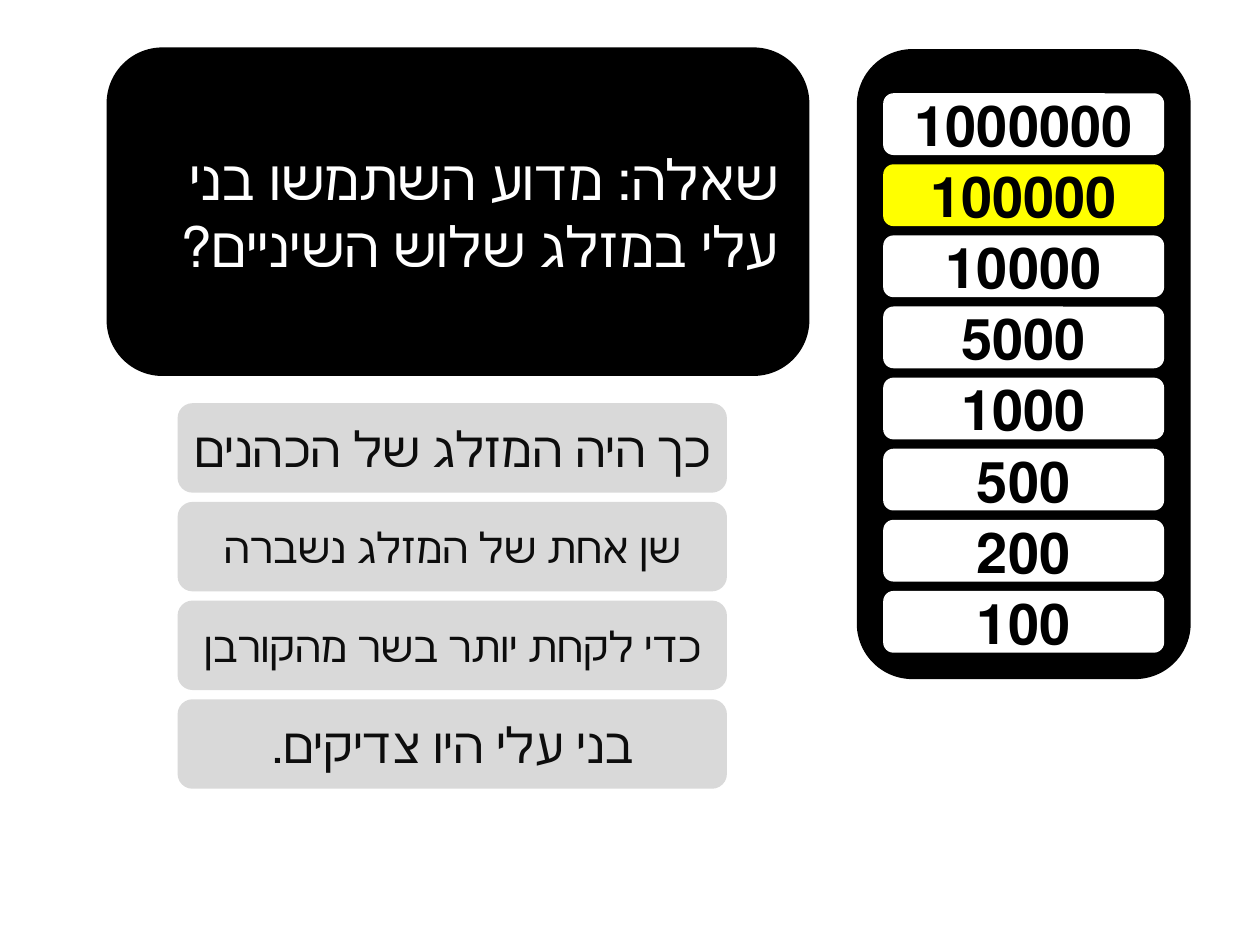
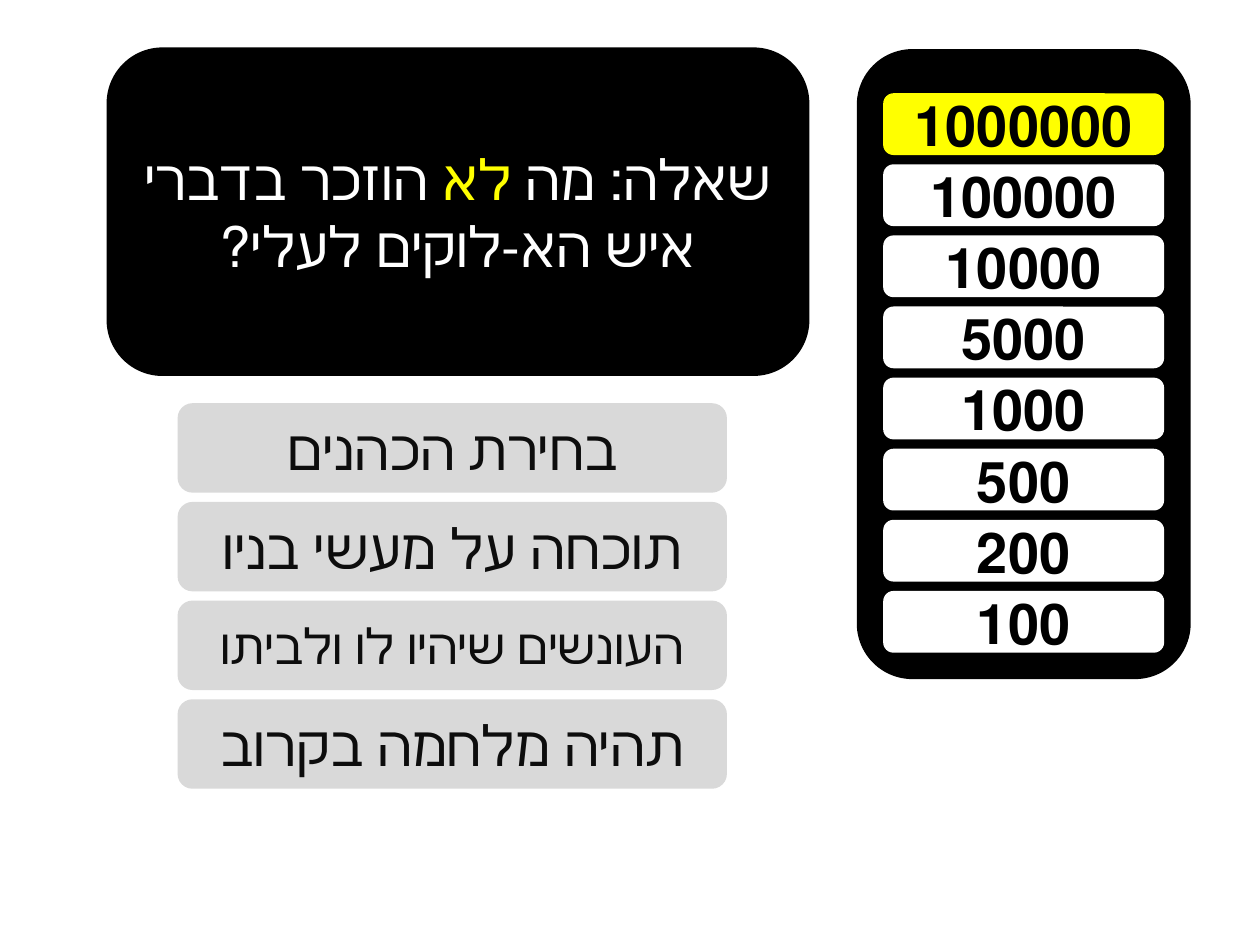
from pptx import Presentation
from pptx import util as u
from pptx.dml.color import RGBColor
from pptx.enum import shapes, text

BLACK = RGBColor(0x00, 0x00, 0x00)
WHITE = RGBColor(0xFF, 0xFF, 0xFF)
YELLOW = RGBColor(0xFF, 0xFF, 0x00)
GREY = RGBColor(0xD9, 0xD9, 0xD9)
INK = RGBColor(0x0D, 0x0D, 0x0D)
FACE = "Calibri"

PRIZES = ["1000000", "100000", "10000", "5000", "1000", "500", "200", "100"]

QUIZ = [
    {
        "prize": "100000",
        "align": text.PP_ALIGN.RIGHT,
        "ask": [("שאלה: מדוע השתמשו בני עלי במזלג שלוש השיניים?", WHITE)],
        "answers": [
            ("כך היה המזלג של הכהנים", 28),
            ("שן אחת של המזלג נשברה", 24),
            ("כדי לקחת יותר בשר מהקורבן", 24),
            ("בני עלי היו צדיקים.", 28),
        ],
    },
    {
        "prize": "1000000",
        "align": text.PP_ALIGN.CENTER,
        "ask": [
            ("שאלה: מה ", WHITE),
            ("לא ", YELLOW),
            ("הוזכר בדברי איש הא-לוקים לעלי?", WHITE),
        ],
        "answers": [
            ("בחירת הכהנים", 32),
            ("תוכחה על מעשי בניו", 32),
            ("העונשים שיהיו לו ולביתו", 28),
            ("תהיה מלחמה בקרוב", 32),
        ],
    },
]


def add_box(slide, left, top, width, height, fill):
    place = [u.Inches(n) for n in (left, top, width, height)]
    box = slide.shapes.add_shape(shapes.MSO_SHAPE.ROUNDED_RECTANGLE, *place)
    box.shadow.inherit = False
    box.fill.solid()
    box.fill.fore_color.rgb = fill
    box.line.fill.background()
    return box


def add_text(box, runs, size, align=text.PP_ALIGN.CENTER, bold=False, wrap=False):
    frame = box.text_frame
    frame.word_wrap = wrap
    frame.vertical_anchor = text.MSO_ANCHOR.MIDDLE
    para = frame.paragraphs[0]
    para.alignment = align
    para._p.get_or_add_pPr().set("rtl", "1")
    style = {"size": u.Pt(size), "bold": bold, "name": FACE}
    for words, ink in runs:
        run = para.add_run()
        run.text = words
        for key, value in style.items():
            setattr(run.font, key, value)
        run.font.color.rgb = ink


def spread(first, last, count):
    step = (last - first) / (count - 1)
    return [first + i * step for i in range(count)]


def add_prizes(slide, current):
    add_box(slide, 6.8, 0.39, 2.65, 5, BLACK)
    for prize, top in zip(PRIZES, spread(0.74, 4.69, len(PRIZES))):
        fill = YELLOW if prize == current else WHITE
        box = add_box(slide, 7.01, top, 2.23, 0.49, fill)
        add_text(box, [(prize, BLACK)], 32, bold=True)


def add_ask(slide, runs, align):
    box = add_box(slide, 0.86, 0.39, 5.55, 2.58, BLACK)
    box.line.color.rgb = BLACK
    box.line.width = u.Pt(2)
    add_text(box, runs, 32, align, wrap=True)


def add_answers(slide, answers):
    tops = spread(3.2, 5.55, len(answers))
    for (words, size), top in zip(answers, tops):
        box = add_box(slide, 1.41, top, 4.36, 0.71, GREY)
        add_text(box, [(words, INK)], size)


def main():
    deck = Presentation()
    deck.slide_width = u.Inches(10)
    deck.slide_height = u.Inches(7.5)
    for item in QUIZ:
        slide = deck.slides.add_slide(deck.slide_layouts[6])
        add_prizes(slide, item["prize"])
        add_ask(slide, item["ask"], item["align"])
        add_answers(slide, item["answers"])
    deck.save("out.pptx")


if __name__ == "__main__":
    main()
